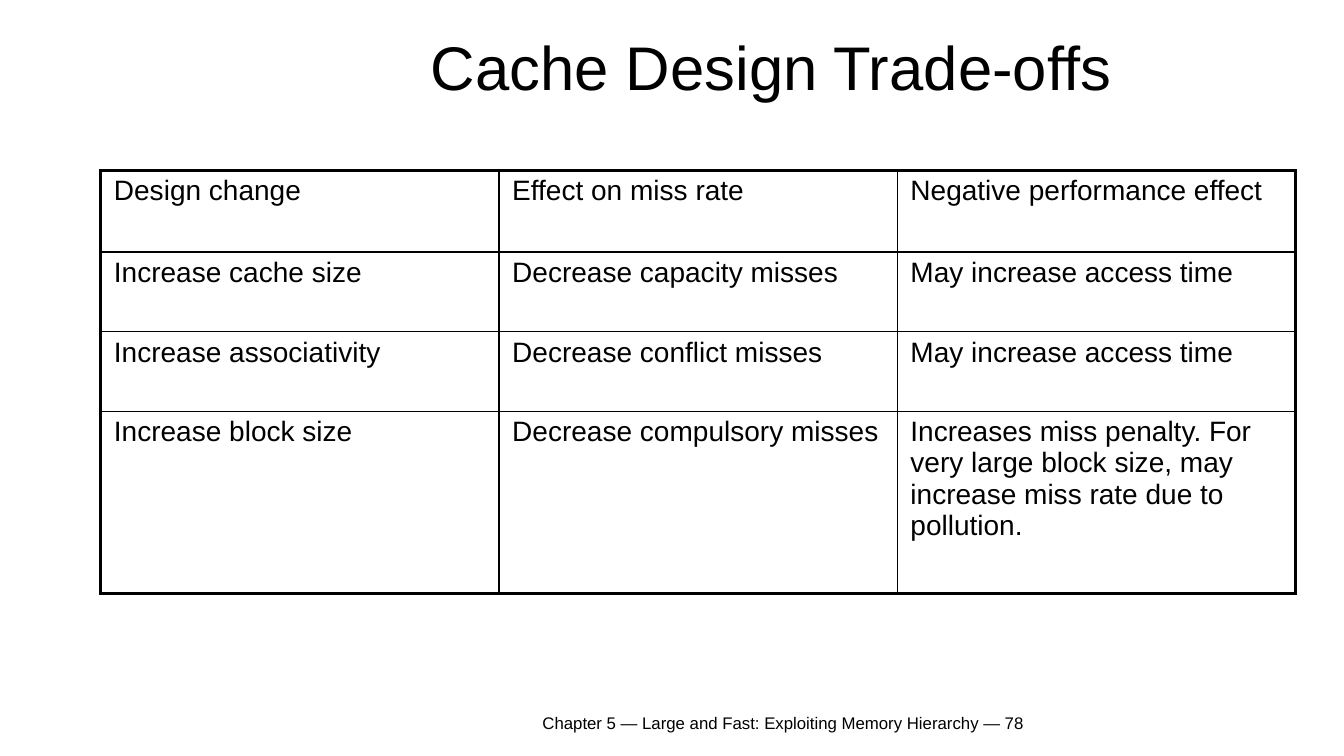
from dataclasses import dataclass

import pptx
import pptx.dml.color
import pptx.enum.text
import pptx.oxml.ns
import pptx.util
from lxml import etree

Inches = pptx.util.Inches
Align = pptx.enum.text.PP_ALIGN
Anchor = pptx.enum.text.MSO_ANCHOR


@dataclass(frozen=True)
class Theme:
    font: str = "Arial"
    ink: str = "000000"
    title_size: float = 44
    table_size: float = 20
    footer_size: float = 12
    outer_line: float = 2.25
    header_line: float = 1.5
    inner_line: float = 1


@dataclass(frozen=True)
class TradeOff:
    change: str
    miss_rate: str
    drawback: str
    height: float


THEME = Theme()
COLUMN_WIDTH = 3.95
TRADE_OFFS = [
    TradeOff("Design change", "Effect on miss rate", "Negative performance effect", 0.81),
    TradeOff("Increase cache size", "Decrease capacity misses", "May increase access time", 0.79),
    TradeOff("Increase associativity", "Decrease conflict misses", "May increase access time", 0.79),
    TradeOff(
        "Increase block size",
        "Decrease compulsory misses",
        "Increases miss penalty. For very large block size, may increase miss rate due to pollution.",
        1.81,
    ),
]


def write(frame, text: str, size: float, alignment, anchor) -> None:
    frame.word_wrap = True
    frame.vertical_anchor = anchor
    paragraph = frame.paragraphs[0]
    paragraph.alignment = alignment
    run = paragraph.add_run()
    run.text = text
    run.font.name = THEME.font
    run.font.size = pptx.util.Pt(size)
    run.font.color.rgb = pptx.dml.color.RGBColor.from_string(THEME.ink)


def add_border(cell, side: str, width: float) -> None:
    qn = pptx.oxml.ns.qn
    properties = cell._tc.get_or_add_tcPr()
    line = etree.SubElement(properties, qn(f"a:ln{side}"), w=str(pptx.util.Pt(width)))
    fill = etree.SubElement(line, qn("a:solidFill"))
    etree.SubElement(fill, qn("a:srgbClr"), val=THEME.ink)


def row_line(edge: int, count: int) -> float:
    """Width of the horizontal rule above row number `edge`."""
    if edge in (0, count):
        return THEME.outer_line
    return THEME.header_line if edge == 1 else THEME.inner_line


def column_line(edge: int, count: int) -> float:
    return THEME.outer_line if edge in (0, count) else THEME.inner_line


def add_trade_off_table(slide, trade_offs: list[TradeOff]) -> None:
    row_count, column_count = len(trade_offs), 3
    height = sum(trade_off.height for trade_off in trade_offs)
    shape = slide.shapes.add_table(
        row_count, column_count,
        Inches(1), Inches(1.69), Inches(COLUMN_WIDTH * column_count), Inches(height),
    )
    table = shape.table
    table.first_row = table.horz_banding = False
    for column in table.columns:
        column.width = Inches(COLUMN_WIDTH)

    for row, trade_off in enumerate(trade_offs):
        table.rows[row].height = Inches(trade_off.height)
        texts = (trade_off.change, trade_off.miss_rate, trade_off.drawback)
        for column, text in enumerate(texts):
            cell = table.cell(row, column)
            cell.margin_left = cell.margin_right = Inches(0.13)
            cell.margin_top = cell.margin_bottom = Inches(0.05)
            write(cell.text_frame, text, THEME.table_size, Align.LEFT, Anchor.TOP)
            cell.vertical_anchor = Anchor.TOP
            add_border(cell, "L", column_line(column, column_count))
            add_border(cell, "R", column_line(column + 1, column_count))
            add_border(cell, "T", row_line(row, row_count))
            add_border(cell, "B", row_line(row + 1, row_count))
            cell.fill.background()


def main() -> None:
    presentation = pptx.Presentation()
    presentation.slide_width = Inches(13.33)
    presentation.slide_height = Inches(7.5)
    slide = presentation.slides.add_slide(presentation.slide_layouts.get_by_name("Title Only"))

    # Footer
    footer = slide.shapes.add_textbox(Inches(2.47), Inches(6.98), Inches(10.6), Inches(0.39))
    write(
        footer.text_frame,
        "Chapter 5 — Large and Fast: Exploiting Memory Hierarchy — 78",
        THEME.footer_size, Align.CENTER, Anchor.MIDDLE,
    )

    # Title
    title = slide.shapes.title
    title.left, title.top = Inches(1.97), Inches(0.23)
    title.width, title.height = Inches(11.36), Inches(0.84)
    write(title.text_frame, "Cache Design Trade-offs", THEME.title_size, Align.CENTER, Anchor.MIDDLE)

    # Table
    add_trade_off_table(slide, TRADE_OFFS)

    presentation.save("out.pptx")


if __name__ == "__main__":
    main()
